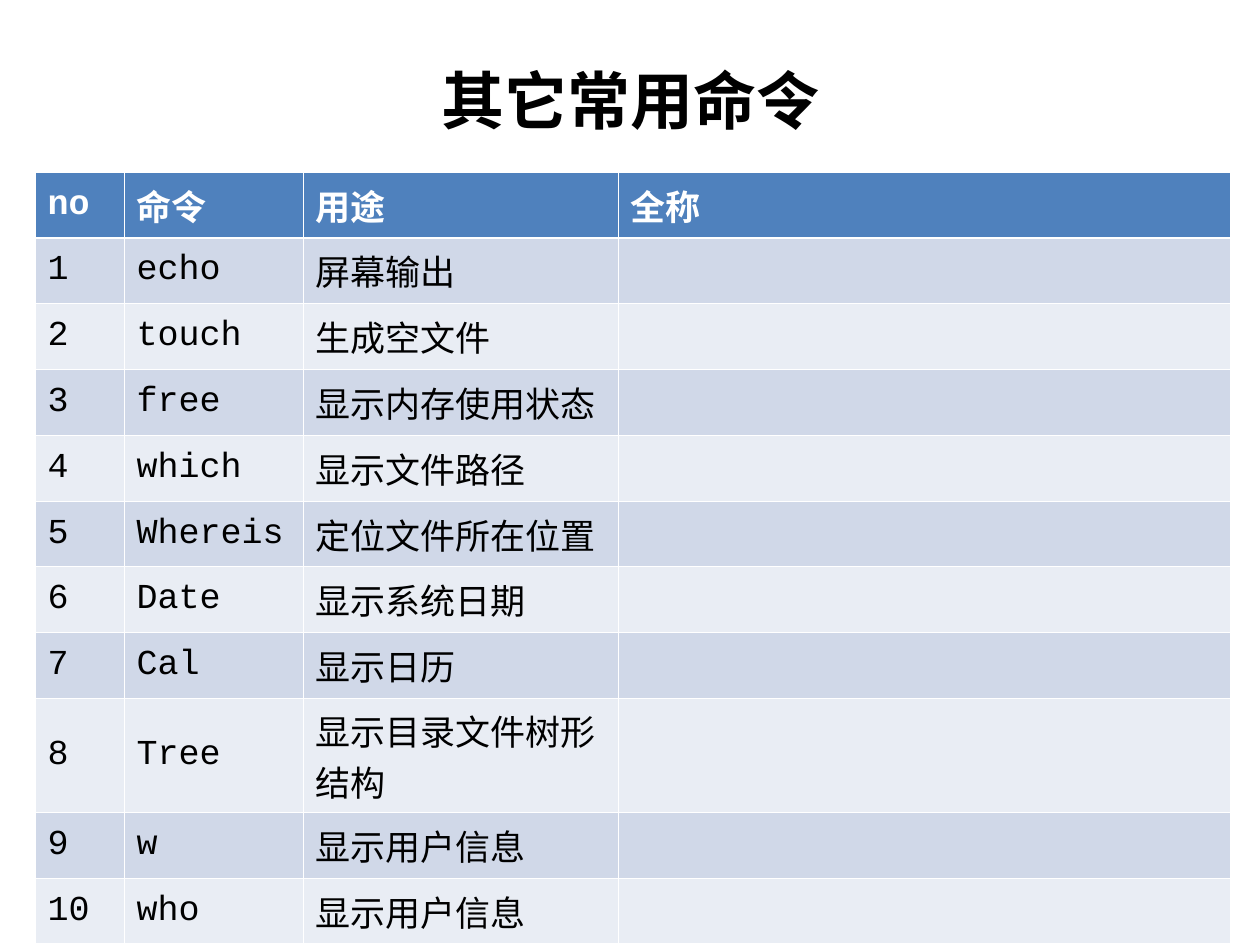
from dataclasses import dataclass

from lxml import etree
from pptx import Presentation
from pptx.dml.color import RGBColor
from pptx.enum.lang import MSO_LANGUAGE_ID
from pptx.enum.text import MSO_ANCHOR, PP_ALIGN
from pptx.oxml.ns import qn
from pptx.util import Emu, Pt

MIDDLE = MSO_ANCHOR.MIDDLE
LEFT, CENTER = PP_ALIGN.LEFT, PP_ALIGN.CENTER
CHINESE = MSO_LANGUAGE_ID.SIMPLIFIED_CHINESE

# Content
TITLE = "其它常用命令"
HEADERS = ("no", "命令", "用途", "全称")
COMMANDS = [
    ("echo", "屏幕输出"),
    ("touch", "生成空文件"),
    ("free", "显示内存使用状态"),
    ("which", "显示文件路径"),
    ("Whereis", "定位文件所在位置"),
    ("Date", "显示系统日期"),
    ("Cal", "显示日历"),
    ("Tree", "显示目录文件树形结构"),
    ("w", "显示用户信息"),
    ("who", "显示用户信息"),
]


@dataclass(frozen=True)
class Theme:
    title_font: str = "Arial"
    table_font: str = "Courier New"
    title_size: float = 36
    table_size: float = 20
    text: str = "000000"
    header_text: str = "FFFFFF"
    header_fill: str = "4F81BD"
    bands: tuple = ("D0D8E8", "E9EDF4")
    border: str = "FFFFFF"
    thin: float = 0.45
    thick: float = 1.47


THEME = Theme()

# Layout in px, 126 to the inch
SLIDE_SIZE = (1260, 945)
TITLE_BOX = (35, 49, 1191, 100)
TITLE_INSETS = (18, 10)
TABLE_LEFT, TABLE_TOP, TABLE_HEIGHT = 35, 172, 772
COLUMN_WIDTHS = (89, 179, 315, 612)
TALL_ROW, TALL_HEIGHT = 8, 114


def px(length):
    return Emu(round(length * 914400 / 126))


def add_run(paragraph, text, font, size, color, bold):
    run = paragraph.add_run()
    run.text = text
    run.font.name = font
    run.font.size = Pt(size)
    run.font.bold = bold
    run.font.color.rgb = RGBColor.from_string(color)
    run.font.language_id = CHINESE


def set_borders(cell, widths):
    properties = cell._tc.get_or_add_tcPr()
    for index, (side, width) in enumerate(widths.items()):
        line = etree.Element(qn(f"a:ln{side}"), w=str(Pt(width)))
        fill = etree.SubElement(line, qn("a:solidFill"))
        etree.SubElement(fill, qn("a:srgbClr"), val=THEME.border)
        properties.insert(index, line)


def add_title(slide):
    frame = slide.shapes.add_textbox(*map(px, TITLE_BOX)).text_frame
    frame.word_wrap = True
    frame.vertical_anchor = MIDDLE
    frame.margin_left = frame.margin_right = px(TITLE_INSETS[0])
    frame.margin_top = frame.margin_bottom = px(TITLE_INSETS[1])
    paragraph = frame.paragraphs[0]
    paragraph.alignment = CENTER
    paragraph.space_before = Pt(10)
    add_run(paragraph, TITLE, THEME.title_font, THEME.title_size, THEME.text, True)


def add_command_table(slide):
    rows = [HEADERS] + [
        (str(number), command, purpose, "")
        for number, (command, purpose) in enumerate(COMMANDS, 1)
    ]
    table = slide.shapes.add_table(
        len(rows), len(HEADERS), px(TABLE_LEFT), px(TABLE_TOP),
        px(sum(COLUMN_WIDTHS)), px(TABLE_HEIGHT),
    ).table
    for column, width in zip(table.columns, COLUMN_WIDTHS):
        column.width = px(width)

    row_height = (TABLE_HEIGHT - TALL_HEIGHT) / (len(rows) - 1)
    for row_index, values in enumerate(rows):
        header = row_index == 0
        table.rows[row_index].height = px(
            TALL_HEIGHT if row_index == TALL_ROW else row_height)
        fill = THEME.header_fill if header else THEME.bands[(row_index - 1) % 2]
        color = THEME.header_text if header else THEME.text
        widths = {
            "L": THEME.thin,
            "R": THEME.thin,
            "T": THEME.thick if row_index == 1 else THEME.thin,
            "B": THEME.thick if header else THEME.thin,
        }
        for column_index, text in enumerate(values):
            cell = table.cell(row_index, column_index)
            cell.vertical_anchor = MIDDLE
            cell.fill.solid()
            cell.fill.fore_color.rgb = RGBColor.from_string(fill)
            set_borders(cell, widths)
            if text:
                paragraph = cell.text_frame.paragraphs[0]
                paragraph.alignment = LEFT
                add_run(paragraph, text, THEME.table_font, THEME.table_size,
                        color, header)


def main():
    presentation = Presentation()
    presentation.slide_width, presentation.slide_height = map(px, SLIDE_SIZE)
    slide = presentation.slides.add_slide(presentation.slide_layouts[6])
    add_title(slide)
    add_command_table(slide)
    presentation.save("out.pptx")


if __name__ == "__main__":
    main()
